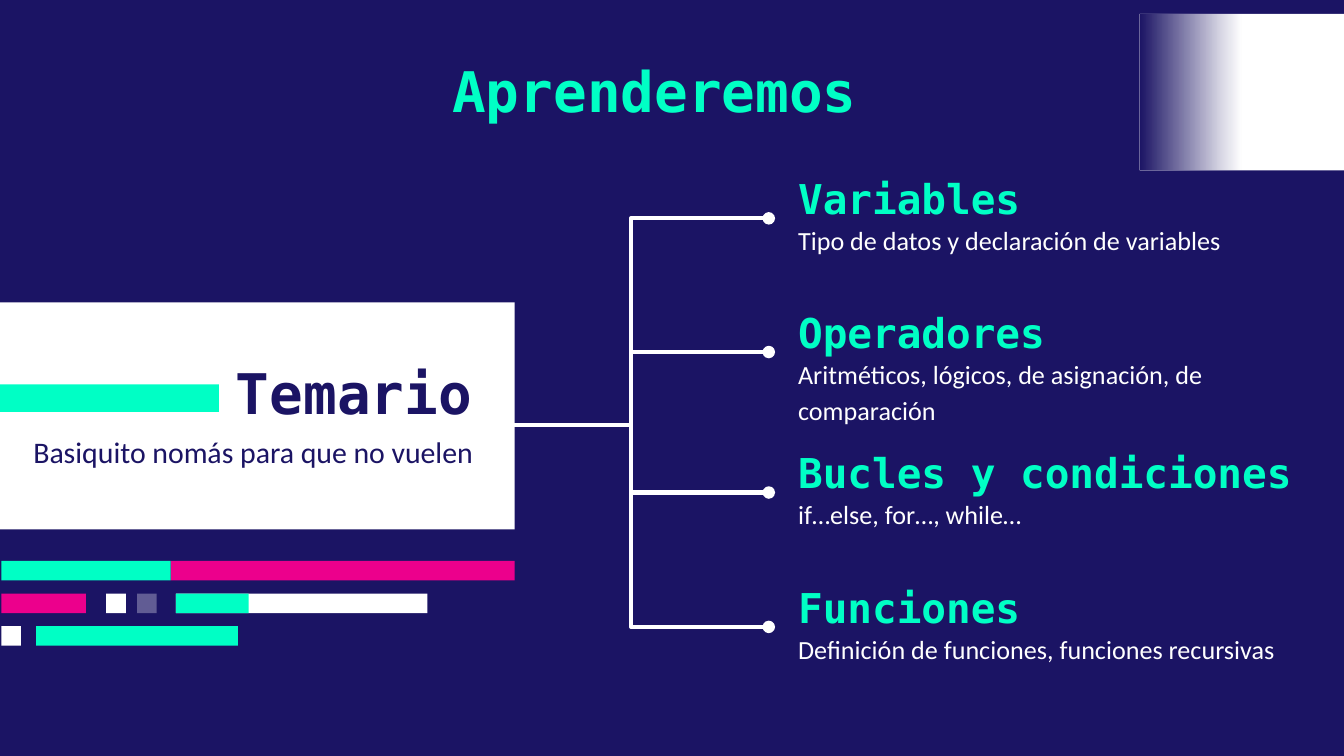
from copy import deepcopy

from lxml import etree
from pptx import Presentation
from pptx import util as u
from pptx.dml.color import RGBColor
from pptx.enum import shapes, text
from pptx.oxml.ns import qn

CELL = u.Inches(0.1)  # the slide is a grid of 100 columns by 56.25 rows
COLUMNS, ROWS = 100, 56.25
NAVY, MINT, PINK, WHITE = "1B1464", "00FFC5", "EC008C", "FFFFFF"
CODE_FONT, BODY_FONT = "DejaVu Sans Mono", "Calibri"
LEFT, CENTER, RIGHT = text.PP_ALIGN.LEFT, text.PP_ALIGN.CENTER, text.PP_ALIGN.RIGHT
TOP, MIDDLE = text.MSO_ANCHOR.TOP, text.MSO_ANCHOR.MIDDLE


def rgb(color):
    return RGBColor.from_string(color)


def cells(*lengths):
    return [round(length * CELL) for length in lengths]


def add_bar(slide, box, color, alpha=None):
    bar = slide.shapes.add_shape(shapes.MSO_SHAPE.RECTANGLE, *cells(*box))
    bar.shadow.inherit = False
    bar.line.fill.background()
    bar.fill.solid()
    bar.fill.fore_color.rgb = rgb(color)
    if alpha is not None:
        fill_color = bar.fill._xPr.find(qn("a:solidFill"))[0]
        etree.SubElement(fill_color, qn("a:alpha"), val=str(alpha * 1000))
    return bar


def add_text(slide, box, words, size, color, font, align=LEFT, anchor=TOP, inset=0):
    frame = slide.shapes.add_textbox(*cells(*box)).text_frame
    frame.word_wrap = True
    frame.vertical_anchor = anchor
    frame.margin_left = frame.margin_right = CELL
    frame.margin_top = frame.margin_bottom = inset
    line = frame.paragraphs[0]
    line.text = words
    line.alignment = align
    if font == BODY_FONT:
        line.line_spacing = 1.15
    line.font.name = font
    line.font.size = u.Pt(size)
    line.font.bold = font == CODE_FONT
    line.font.color.rgb = rgb(color)


def add_branch(slide, start, end):
    """Elbow line that ends in a dot."""
    branch = slide.shapes.add_connector(
        shapes.MSO_CONNECTOR.ELBOW, *cells(*start, *end))
    branch.line.color.rgb = rgb(WHITE)
    branch.line.width = u.Pt(2.25)
    etree.SubElement(branch.line._get_or_add_ln(), qn("a:tailEnd"), type="oval")
    etree.SubElement(branch._element.spPr, qn("a:effectLst"))


def add_syllabus_card(slide, box):
    left, top, width, height = box
    add_bar(slide, box, WHITE)
    add_bar(slide, (left, top + 6.1, 16.3, 2.05), MINT)
    add_text(slide, (left + 9.5, top + 4.5, 26.6, 4.3), "Temario", 30, NAVY,
             CODE_FONT, RIGHT, MIDDLE)
    add_text(slide, (left + 0.9, top + 9.4, 35.3, 4.8),
             "Basiquito nomás para que no vuelen", 16, NAVY, BODY_FONT, RIGHT)


def add_code_stripes(slide, left, top):
    """Three rows of bars that look like lines of code."""
    thickness, pitch = 1.46, 2.43
    stripes = [  # row, offset, length, colour, opacity
        (0, 12.6, 25.6, PINK, None),
        (0, 0, 12.6, MINT, None),
        (1, 13, 18.7, WHITE, None),
        (1, 13, 5.4, MINT, None),
        (1, 0, 6.3, PINK, None),
        (1, 10.1, thickness, WHITE, 31),
        (1, 7.8, thickness, WHITE, None),
        (2, 0, thickness, WHITE, None),
        (2, 2.6, 15, MINT, None),
    ]
    for row, offset, length, color, alpha in stripes:
        add_bar(slide, (left + offset, top + row * pitch, length, thickness),
                color, alpha)


def add_topics(slide, left, root):
    topics = [  # top, heading, heading width, detail, detail width
        (13.25, "Variables", 29.5, "Tipo de datos y declaración de variables", 36.3),
        (23.2, "Operadores", 29.5,
         "Aritméticos, lógicos, de asignación, de comparación", 33),
        (33.65, "Bucles y condiciones", 40.9, "if…else, for…, while…", 29.5),
        (43.65, "Funciones", 29.5,
         "Definición de funciones, funciones recursivas", 40.9),
    ]
    for top, heading, heading_width, detail, detail_width in topics:
        add_text(slide, (left, top, heading_width, 3), heading, 22, MINT,
                 CODE_FONT, anchor=MIDDLE)
        add_text(slide, (left, top + 3.1, detail_width, 3.3), detail, 14, WHITE,
                 BODY_FONT)
        add_branch(slide, root, (left - 1.2, top + 3))


def add_corner_fade(slide, box):
    left, top, width, height = box
    panel = add_bar(slide, box, WHITE)
    fade = add_bar(slide, (left, top, width / 2, height), WHITE)
    fade.fill.gradient()
    fade.fill.gradient_angle = 0
    stops = fade.fill._xPr.find(qn("a:gradFill")).find(qn("a:gsLst"))
    stops.insert(1, deepcopy(stops[0]))
    for stop, (position, color) in zip(
            fade.fill.gradient_stops, [(0, NAVY), (0.82, "DCDBE7"), (1, WHITE)]):
        stop.position = position
        stop.color.rgb = rgb(color)
    slide.shapes.add_group_shape([panel, fade])


def main():
    deck = Presentation()
    deck.slide_width, deck.slide_height = cells(COLUMNS, ROWS)
    slide = deck.slides.add_slide(deck.slide_layouts[6])
    slide.background.fill.solid()
    slide.background.fill.fore_color.rgb = rgb(NAVY)

    add_text(slide, (26.6, 3.2, 44.2, 7.3), "Aprenderemos", 30, MINT, CODE_FONT,
             CENTER, inset=CELL)
    add_syllabus_card(slide, (0, 22.5, 38.3, 16.9))
    add_code_stripes(slide, 0.1, 41.73)
    add_topics(slide, 58.4, root=(36.7, 31.65))
    add_corner_fade(slide, (84.8, 1.03, 15.2, 11.65))
    deck.save("out.pptx")


if __name__ == "__main__":
    main()
